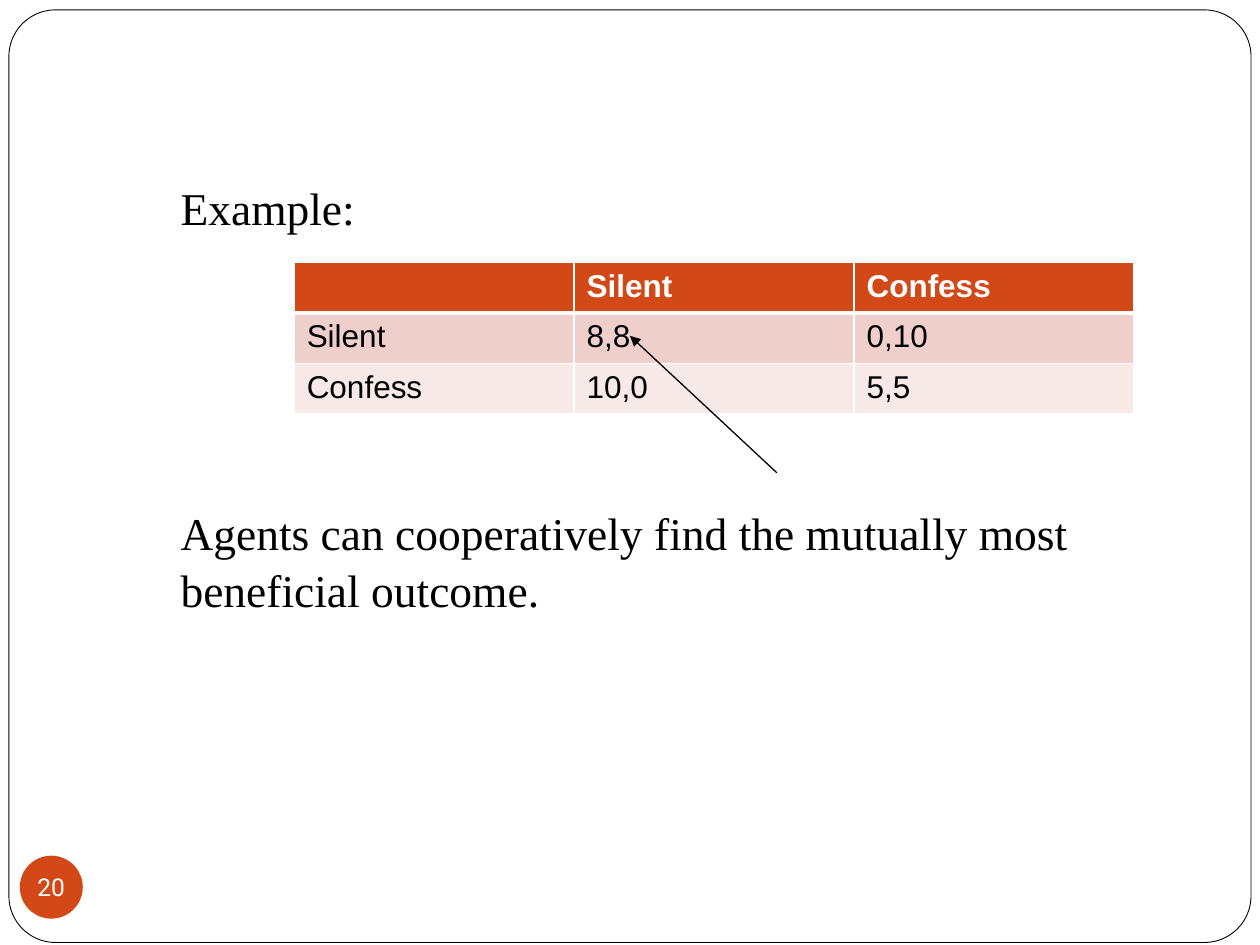
from pptx import Presentation
from pptx.util import Cm, Pt
from pptx.dml.color import RGBColor
from pptx.enum.shapes import MSO_SHAPE as Shape, MSO_CONNECTOR as Link
from pptx.enum.text import PP_ALIGN as Align, MSO_ANCHOR as Anchor
from pptx.oxml.ns import qn
from lxml.etree import SubElement as Sub

TEXTS = [
    ("Example:", 0),
    ("Agents can cooperatively find the mutually most beneficial outcome.", 153),
]
ROWS = [
    ("", "Silent", "Confess"),
    ("Silent", "8,8", "0,10"),
    ("Confess", "10,0", "5,5"),
]
FILLS = ["D34817", "EFCFCC", "F7E9E8"]
PAGE = "20"
BLACK, WHITE, RED = "000000", "FFFFFF", "D34817"


def paint(form, color):
    if hasattr(form, "solid"):
        form.solid()
        form.fore_color.rgb = RGBColor.from_string(color)
    else:
        form.rgb = RGBColor.from_string(color)


def style(para, name, size, color, bold=False):
    font = para.font
    font.name, font.size, font.bold = name, Pt(size), bold
    paint(font.color, color)


def add_form(slide, kind, box, fill):
    form = slide.shapes.add_shape(kind, *map(Cm, box))
    form.shadow.inherit = False
    paint(form.fill, fill)
    return form


def add_frame(slide):
    frame = add_form(slide, Shape.ROUNDED_RECTANGLE, (0.18, 0.2, 25.04, 18.8), WHITE)
    frame.adjustments[0] = 0.05
    paint(frame.line.fill, BLACK)
    frame.line.width = Pt(0.5)


def add_body(slide):
    box = slide.shapes.add_textbox(Cm(3.39), Cm(3.44), Cm(21.59), Cm(12.7))
    body = box.text_frame
    body.word_wrap = True
    for i, (text, gap) in enumerate(TEXTS):
        para = body.add_paragraph() if i else body.paragraphs[0]
        para.text = text
        para.line_spacing = 1.05
        if gap:
            para.space_before = Pt(gap)
        style(para, "Times New Roman", 26, BLACK)


def add_page(slide):
    disc = add_form(slide, Shape.OVAL, (0.4, 17.25, 1.27, 1.27), RED)
    disc.line.fill.background()
    text = disc.text_frame
    text.margin_left = text.margin_right = text.margin_top = text.margin_bottom = 0
    text.word_wrap = False
    text.vertical_anchor = Anchor.MIDDLE
    para = text.paragraphs[0]
    para.text, para.alignment = PAGE, Align.CENTER
    style(para, "Roboto", 14, WHITE)


def add_edge(cell, side, width):
    edge = Sub(cell._tc.get_or_add_tcPr(), qn(f"a:ln{side}"), w=str(Pt(width)))
    Sub(Sub(edge, qn("a:solidFill")), qn("a:srgbClr"), val=WHITE)


def add_grid(slide):
    grid = slide.shapes.add_table(
        len(ROWS), len(ROWS[0]), Cm(5.93), Cm(5.29), Cm(16.93), Cm(3.06)
    ).table
    for r, row in enumerate(ROWS):
        head = r == 0
        for c, text in enumerate(row):
            cell = grid.cell(r, c)
            cell.text = text
            style(cell.text_frame.paragraphs[0], "Arial", 18, WHITE if head else BLACK, head)
            for side in "LRTB":
                thick = (side == "B" and r == 0) or (side == "T" and r == 1)
                add_edge(cell, side, 3 if thick else 1)
            paint(cell.fill, FILLS[r])


def add_arrow(slide):
    arrow = slide.shapes.add_connector(
        Link.STRAIGHT, Cm(15.66), Cm(9.53), Cm(12.7), Cm(6.77)
    )
    paint(arrow.line.fill, BLACK)
    arrow.line.width = Pt(0.75)
    Sub(arrow.line._get_or_add_ln(), qn("a:tailEnd"), type="triangle")
    Sub(arrow._element.spPr, qn("a:effectLst"))


def main():
    deck = Presentation()
    deck.slide_width, deck.slide_height = Cm(25.4), Cm(19.05)
    slide = deck.slides.add_slide(deck.slide_layouts[6])
    for add in (add_frame, add_body, add_page, add_grid, add_arrow):
        add(slide)
    deck.save("out.pptx")


if __name__ == "__main__":
    main()
